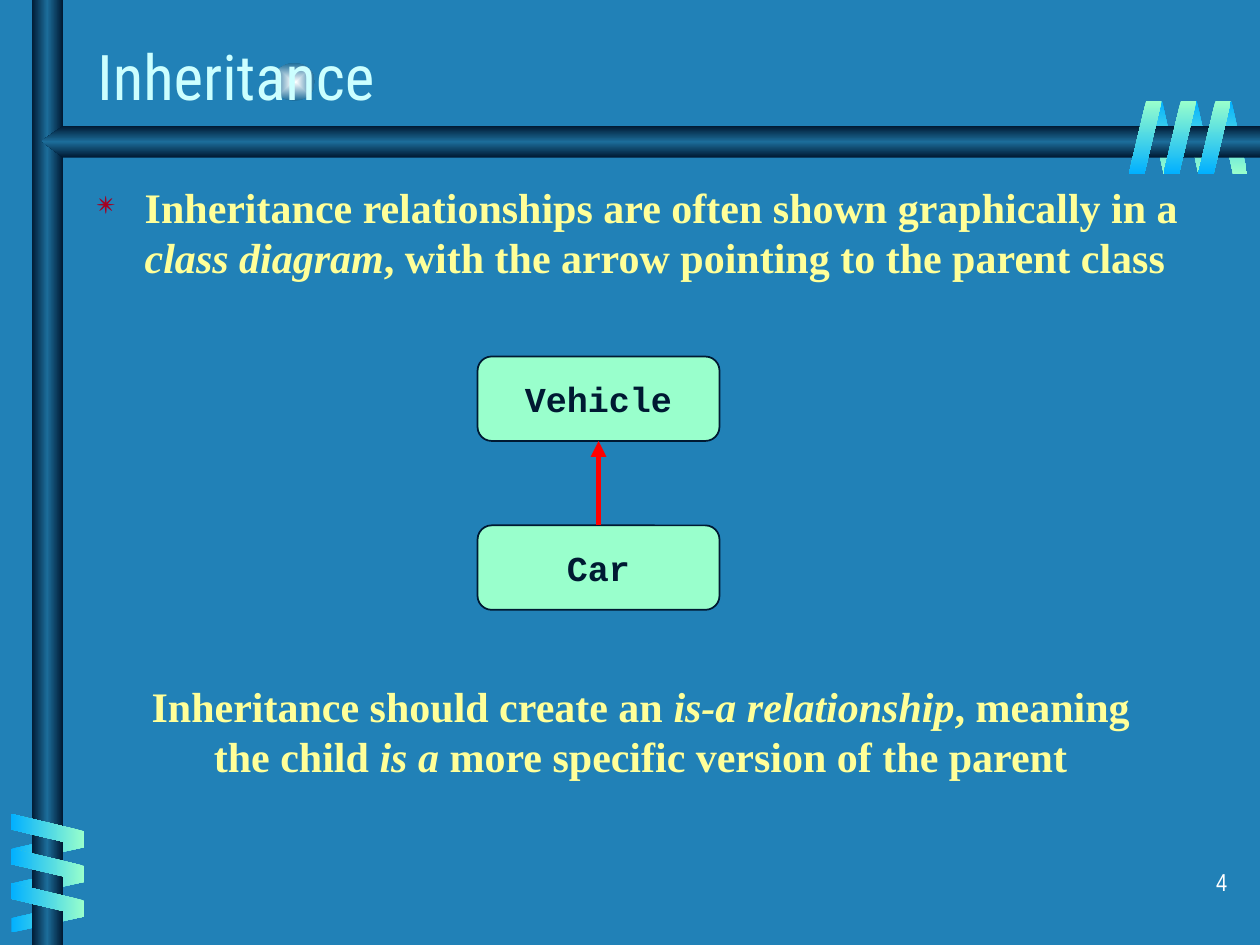
from lxml import etree
from pptx import Presentation
from pptx.dml.color import RGBColor
from pptx.enum.shapes import MSO_CONNECTOR, MSO_SHAPE as Shape
from pptx.enum.text import MSO_ANCHOR as Anchor, MSO_AUTO_SIZE as AutoSize, PP_ALIGN as Align
from pptx.oxml.ns import qn
from pptx.util import Inches, Pt

BLUE = RGBColor(0x21, 0x81, 0xB7)
NAVY = RGBColor(0x00, 0x19, 0x32)
STEEL = RGBColor(0x1C, 0x6D, 0x9A)
SKY = RGBColor(0x01, 0xB0, 0xFF)
MINT = RGBColor(0x99, 0xFF, 0xCC)
GLOW = RGBColor(0xFE, 0xFF, 0xFF)
PALE_CYAN = RGBColor(0xCC, 0xFF, 0xFF)
YELLOW = RGBColor(0xFF, 0xFF, 0x99)
DARK_RED = RGBColor(0xA5, 0x00, 0x21)
RED = RGBColor(0xFF, 0x00, 0x00)
WHITE = RGBColor(0xFF, 0xFF, 0xFF)

SERIF = "Times New Roman"
RIBBON_PITCH = 0.275


def add_node(parent, tag, **attributes):
    node = etree.SubElement(parent, qn(tag))
    for name, value in attributes.items():
        node.set(name, str(value))
    return node


def fill_gradient(shape, colors, angle=None):
    """Spread colors evenly along an angle that ignores rotation, or from the centre if None."""
    shape.shadow.inherit = False
    shape.line.fill.background()
    shape.fill.gradient()
    gradient = shape.element.spPr.find(qn("a:gradFill"))
    for child in list(gradient):
        gradient.remove(child)
    gradient.set("rotWithShape", "0")
    stops = add_node(gradient, "a:gsLst")
    for index, color in enumerate(colors):
        stop = add_node(stops, "a:gs", pos=100000 * index // (len(colors) - 1))
        add_node(stop, "a:srgbClr", val=color)
    if angle is None:
        center = add_node(gradient, "a:path", path="rect")
        add_node(center, "a:fillToRect", l=50000, t=50000, r=50000, b=50000)
    else:
        add_node(gradient, "a:lin", ang=angle * 60000, scaled=0)


def add_gradient_shape(slide, kind, left, top, width, height, colors, angle=None):
    shape = slide.shapes.add_shape(
        kind, Inches(left), Inches(top), Inches(width), Inches(height))
    fill_gradient(shape, colors, angle)
    return shape


def add_ribbon(slide, left, top, vertical, behind):
    """Add three slanted strips, the front or the back half of a coil around a bar."""
    width = 0.24 if behind else 0.26
    colors = (SKY, MINT) if behind else (MINT, SKY)
    for index in range(3):
        step = index * RIBBON_PITCH
        x, y = (left, top + step) if vertical else (left + step, top)
        strip = add_gradient_shape(slide, Shape.PARALLELOGRAM, x, y, width, 0.58,
                                   colors, 180 if vertical else 90)
        strip.adjustments[0] = 0.53
        if behind:
            strip.rotation = 90 if vertical else 180
            strip.element.spPr.find(qn("a:xfrm")).set("flipH", "1")
        elif vertical:
            strip.rotation = 270


def add_pointed_bar(slide):
    builder = slide.shapes.build_freeform(Inches(10), Inches(1))
    points = [(0.5, 1), (0.33, 1.12), (0.5, 1.25), (10, 1.25)]
    builder.add_line_segments([(Inches(x), Inches(y)) for x, y in points], close=True)
    fill_gradient(builder.convert_to_shape(), (NAVY, STEEL, NAVY), 90)


def add_decoration(slide):
    add_gradient_shape(slide, Shape.OVAL, 2.17, 0.5, 0.33, 0.3, (GLOW, STEEL))
    add_ribbon(slide, 9.11, 0.8, vertical=False, behind=True)
    add_ribbon(slide, 0.26, 6.44, vertical=True, behind=True)
    add_gradient_shape(slide, Shape.RECTANGLE, 0.25, 0, 0.25, 7.5, (NAVY, STEEL, NAVY), 180)
    add_pointed_bar(slide)
    add_ribbon(slide, 0.25, 6.3, vertical=True, behind=False)
    add_ribbon(slide, 8.96, 0.8, vertical=False, behind=False)


def write_text(shape, *parts, font, size, color, bold=False, align=Align.LEFT,
               anchor=Anchor.TOP, wrap=True, auto_size=AutoSize.NONE):
    """Write one paragraph whose every second part is italic."""
    frame = shape.text_frame
    frame.word_wrap = wrap
    frame.auto_size = auto_size
    frame.vertical_anchor = anchor
    paragraph = frame.paragraphs[0]
    paragraph.alignment = align
    for index, part in enumerate(parts):
        run = paragraph.add_run()
        run.text = part
        run.font.name = font
        run.font.size = Pt(size)
        run.font.color.rgb = color
        run.font.bold = bold
        run.font.italic = index % 2 == 1
    return paragraph


def add_text(slide, left, top, width, height, *parts, **text_format):
    box = slide.shapes.add_textbox(Inches(left), Inches(top), Inches(width), Inches(height))
    return write_text(box, *parts, **text_format)


def add_bullet(paragraph):
    properties = paragraph._p.get_or_add_pPr()
    properties.set("marL", str(Inches(0.38)))
    properties.set("indent", str(-Inches(0.38)))
    add_node(add_node(properties, "a:buClr"), "a:srgbClr", val=DARK_RED)
    add_node(properties, "a:buSzPct", val=75000)
    add_node(properties, "a:buChar", char="✴")


def set_title(slide, text):
    title = slide.shapes.title
    title.left, title.top = Inches(0.67), Inches(0.22)
    title.width, title.height = Inches(8.3), Inches(0.75)
    write_text(title, text, font="Roboto Condensed", size=36, color=PALE_CYAN,
               anchor=Anchor.MIDDLE)


def add_class_box(slide, name, top):
    box = slide.shapes.add_shape(Shape.FLOWCHART_ALTERNATE_PROCESS, Inches(3.79),
                                 Inches(top), Inches(1.92), Inches(0.67))
    box.shadow.inherit = False
    box.fill.solid()
    box.fill.fore_color.rgb = MINT
    box.line.color.rgb = NAVY
    box.line.width = Pt(1)
    write_text(box, name, font="Courier New", size=20, color=NAVY, bold=True,
               align=Align.CENTER, anchor=Anchor.MIDDLE, wrap=False)
    return box


def add_inheritance_arrow(slide, child, parent):
    arrow = slide.shapes.add_connector(MSO_CONNECTOR.STRAIGHT, 0, 0, 0, 0)
    arrow.begin_connect(child, 0)
    arrow.end_connect(parent, 2)
    arrow.line.color.rgb = RED
    arrow.line.width = Pt(3)
    add_node(arrow.line._get_or_add_ln(), "a:tailEnd", type="triangle")
    add_node(arrow.element.spPr, "a:effectLst")


def main():
    presentation = Presentation()
    presentation.slide_width, presentation.slide_height = Inches(10), Inches(7.5)
    slide = presentation.slides.add_slide(presentation.slide_layouts[5])
    slide.background.fill.solid()
    slide.background.fill.fore_color.rgb = BLUE

    add_decoration(slide)
    set_title(slide, "Inheritance")
    # The title is drawn over the glow.
    slide.shapes._spTree.append(slide.shapes.title.element)

    statement = dict(font=SERIF, size=24, color=YELLOW, bold=True)
    add_bullet(add_text(
        slide, 0.67, 1.39, 9.08, 5.36,
        "Inheritance relationships are often shown graphically in a ", "class diagram",
        ", with the arrow pointing to the parent class", **statement))
    add_text(
        slide, 1, 5.35, 8.17, 0.9,
        "Inheritance should create an ", "is-a relationship", ", meaning the child ",
        "is a", " more specific version of the parent",
        align=Align.CENTER, auto_size=AutoSize.SHAPE_TO_FIT_TEXT, **statement)

    vehicle = add_class_box(slide, "Vehicle", 2.83)
    car = add_class_box(slide, "Car", 4.17)
    add_inheritance_arrow(slide, car, vehicle)

    add_text(slide, 7.76, 6.83, 2.08, 0.5, "4", font="Arial Narrow", size=14,
             color=WHITE, align=Align.RIGHT)
    presentation.save("out.pptx")


if __name__ == "__main__":
    main()
